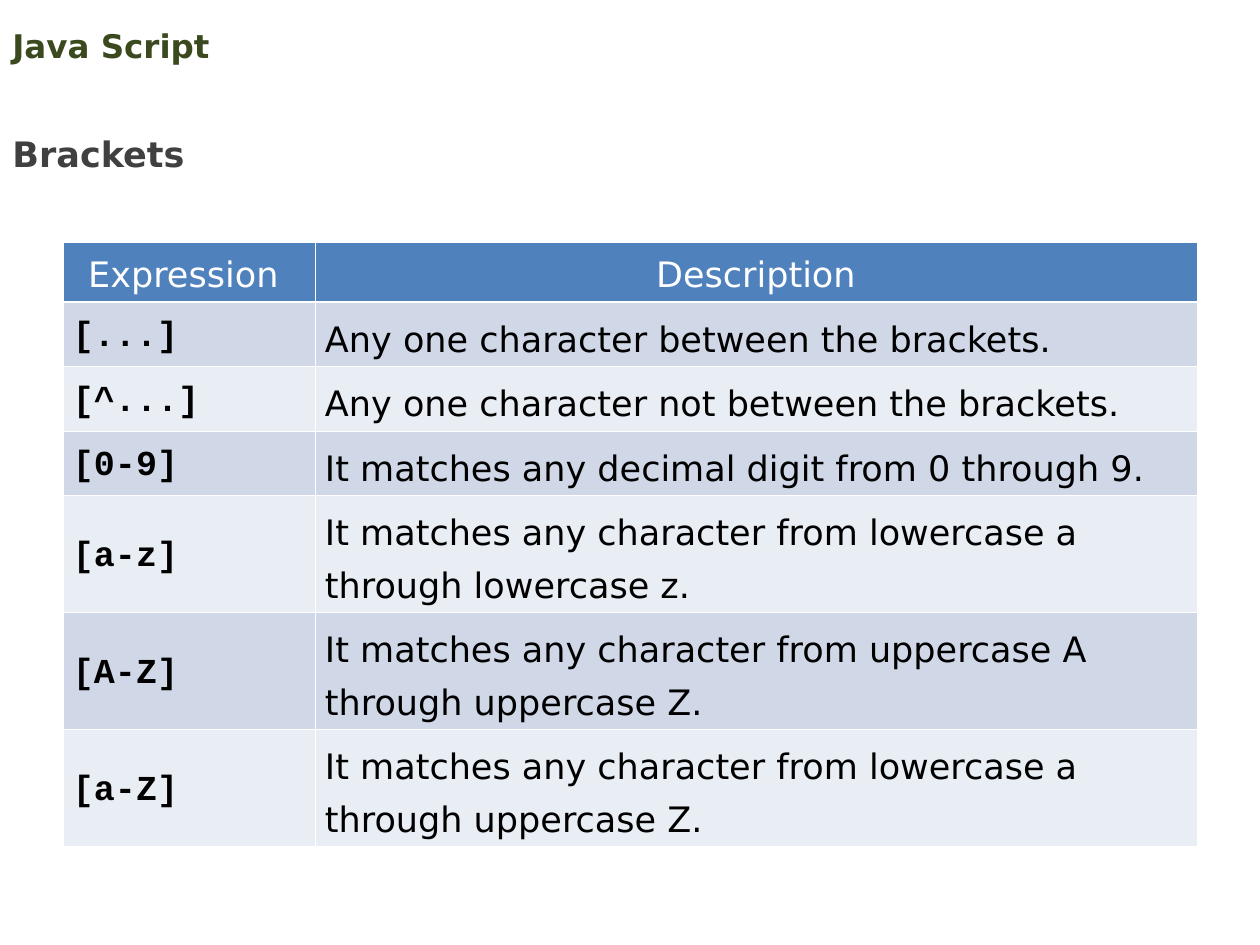
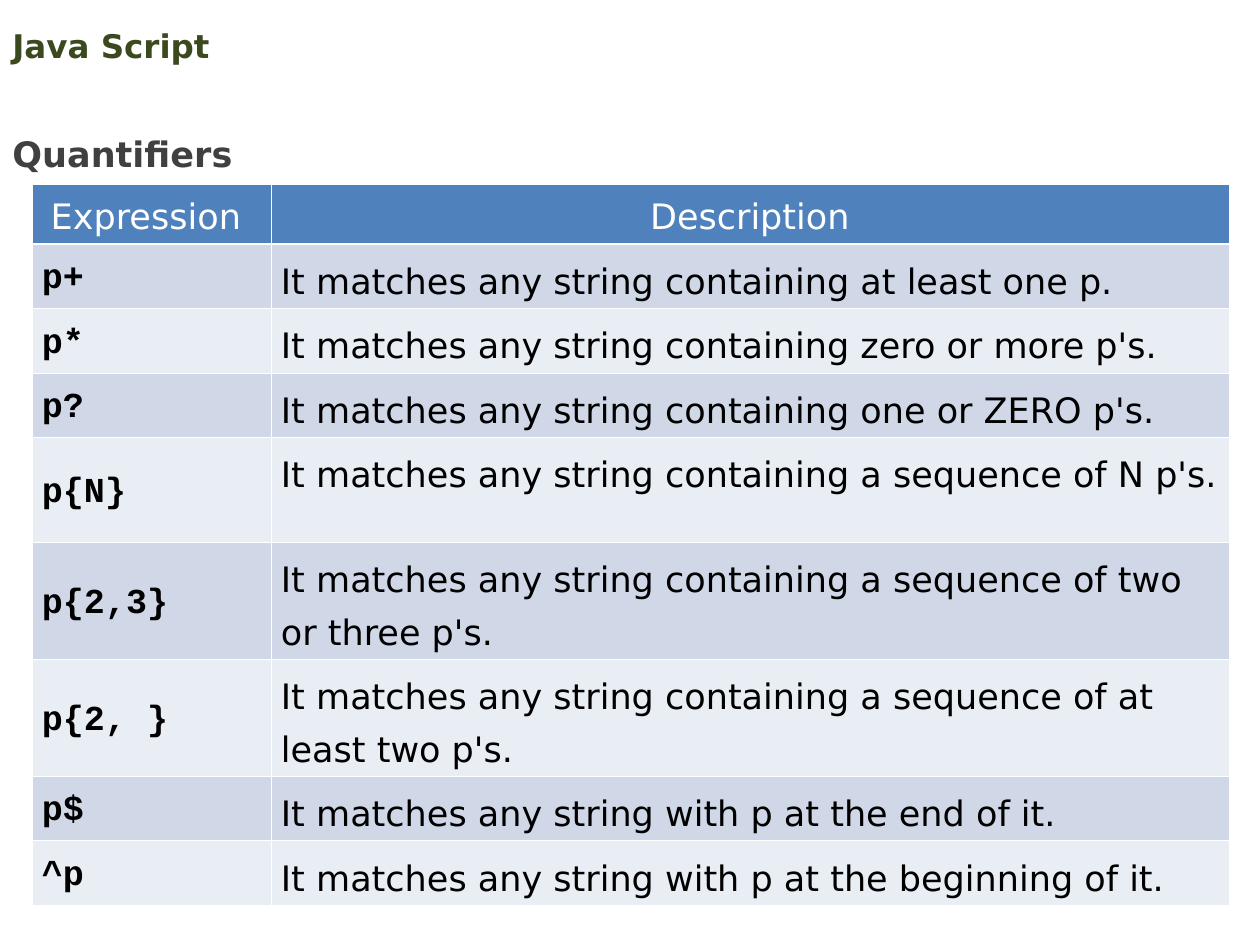
from lxml.etree import SubElement
from pptx import Presentation
from pptx.dml.color import RGBColor
from pptx.enum.text import MSO_ANCHOR as Anchor, MSO_AUTO_SIZE as AutoSize, PP_ALIGN as Align
from pptx.oxml.ns import qn
from pptx.util import Pt

PX = 914400 / 126
SANS, MONO = "DejaVu Sans", "Courier New"
GREEN, GRAY, BLACK, WHITE = "3B4A1E", "404040", "000000", "FFFFFF"
HEADER_FILL = "4F81BD"
BAND_FILLS = ("D0D8E8", "E9EDF4")
THIN, THICK = 0.45, 1.47
HEADER_ROW, ONE_LINE, TWO_LINES = 52, 53, 105

BRACKETS = [
    ("[...]", "Any one character between the brackets.", ONE_LINE),
    ("[^...]", "Any one character not between the brackets.", ONE_LINE),
    ("[0-9]", "It matches any decimal digit from 0 through 9.", ONE_LINE),
    ("[a-z]", "It matches any character from lowercase a through lowercase z.", TWO_LINES),
    ("[A-Z]", "It matches any character from uppercase A through uppercase Z.", TWO_LINES),
    ("[a-Z]", "It matches any character from lowercase a through uppercase Z.", TWO_LINES),
]
QUANTIFIERS = [
    ("p+", "It matches any string containing at least one p.", ONE_LINE),
    ("p*", "It matches any string containing zero or more p's.", ONE_LINE),
    ("p?", "It matches any string containing one or ZERO p's.", ONE_LINE),
    ("p{N}", "It matches any string containing a sequence of N p's.", TWO_LINES),
    ("p{2,3}", "It matches any string containing a sequence of two or three p's.", TWO_LINES),
    ("p{2, }", "It matches any string containing a sequence of at least two p's.", TWO_LINES),
    ("p$", "It matches any string with p at the end of it.", ONE_LINE),
    ("^p", "It matches any string with p at the beginning of it.", ONE_LINE),
]


def emu(px):
    return round(px * PX)


def color(hex_code):
    return RGBColor.from_string(hex_code)


def write(frame, text, font=SANS, size=20, ink=BLACK, bold=False, align=Align.LEFT, spacing=1.0):
    para = frame.paragraphs[0]
    para.alignment = align
    para.line_spacing = spacing
    span = para.add_run()
    span.text = text
    span.font.name = font
    span.font.size = Pt(size)
    span.font.bold = bold
    span.font.color.rgb = color(ink)


def draw_borders(cell, top=THIN, bottom=THIN):
    properties = cell._tc.get_or_add_tcPr()
    for side, width in (("L", THIN), ("R", THIN), ("T", top), ("B", bottom)):
        line = SubElement(properties, qn(f"a:ln{side}"), w=str(Pt(width)))
        fill = SubElement(line, qn("a:solidFill"))
        SubElement(fill, qn("a:srgbClr"), val=WHITE)


class Deck:
    def __init__(self):
        self.deck = Presentation()
        self.deck.slide_width, self.deck.slide_height = emu(1260), emu(945)
        self.page = None

    def add_page(self, heading):
        self.page = self.deck.slides.add_slide(self.deck.slide_layouts[6])
        self.add_text("Java Script", 0, 18, 1134, 54, anchor=Anchor.MIDDLE,
                      size=18.6, ink=GREEN, bold=True)
        self.add_text(heading, 0, 105, 1063, 76, grow=True,
                      ink=GRAY, bold=True, spacing=1.5)

    def add_text(self, text, left, top, width, height, anchor=Anchor.TOP, grow=False, **style):
        box = self.page.shapes.add_textbox(*map(emu, (left, top, width, height)))
        frame = box.text_frame
        frame.word_wrap = True
        frame.vertical_anchor = anchor
        frame.auto_size = AutoSize.SHAPE_TO_FIT_TEXT if grow else AutoSize.NONE
        write(frame, text, **style)

    def add_cell(self, cell, text, fill, anchor=Anchor.MIDDLE, top=THIN, bottom=THIN, **style):
        draw_borders(cell, top, bottom)
        cell.fill.solid()
        cell.fill.fore_color.rgb = color(fill)
        cell.vertical_anchor = anchor
        cell.margin_left = cell.margin_right = emu(10)
        cell.margin_top = cell.margin_bottom = emu(6)
        write(cell.text_frame, text, **style)

    def add_expressions(self, rows, left, top, widths, anchor):
        """Add a table of expressions, with anchor placing the descriptions."""
        heights = [HEADER_ROW] + [height for _, _, height in rows]
        table = self.page.shapes.add_table(
            len(heights), len(widths),
            *map(emu, (left, top, sum(widths), sum(heights)))).table
        table.first_row = table.horz_banding = False
        for column, width in zip(table.columns, widths):
            column.width = emu(width)
        for row, height in zip(table.rows, heights):
            row.height = emu(height)

        # The trailing space shifts the centred label slightly left.
        for column, label in enumerate(("Expression ", "Description")):
            self.add_cell(table.cell(0, column), label, HEADER_FILL, bottom=THICK,
                          ink=WHITE, align=Align.CENTER, spacing=1.15)
        for index, (expression, description, _) in enumerate(rows, start=1):
            fill = BAND_FILLS[(index - 1) % 2]
            edge = THICK if index == 1 else THIN
            self.add_cell(table.cell(index, 0), expression, fill, top=edge,
                          font=MONO, bold=True, spacing=1.15)
            self.add_cell(table.cell(index, 1), description, fill, anchor=anchor, top=edge,
                          spacing=Pt(30))


def main():
    slides = Deck()
    slides.add_page("Brackets")
    slides.add_expressions(BRACKETS, 63, 242, (252, 882), Anchor.MIDDLE)
    slides.add_page("Quantifiers")
    slides.add_expressions(QUANTIFIERS, 32, 184, (239, 958), Anchor.TOP)
    slides.deck.save("out.pptx")


if __name__ == "__main__":
    main()
